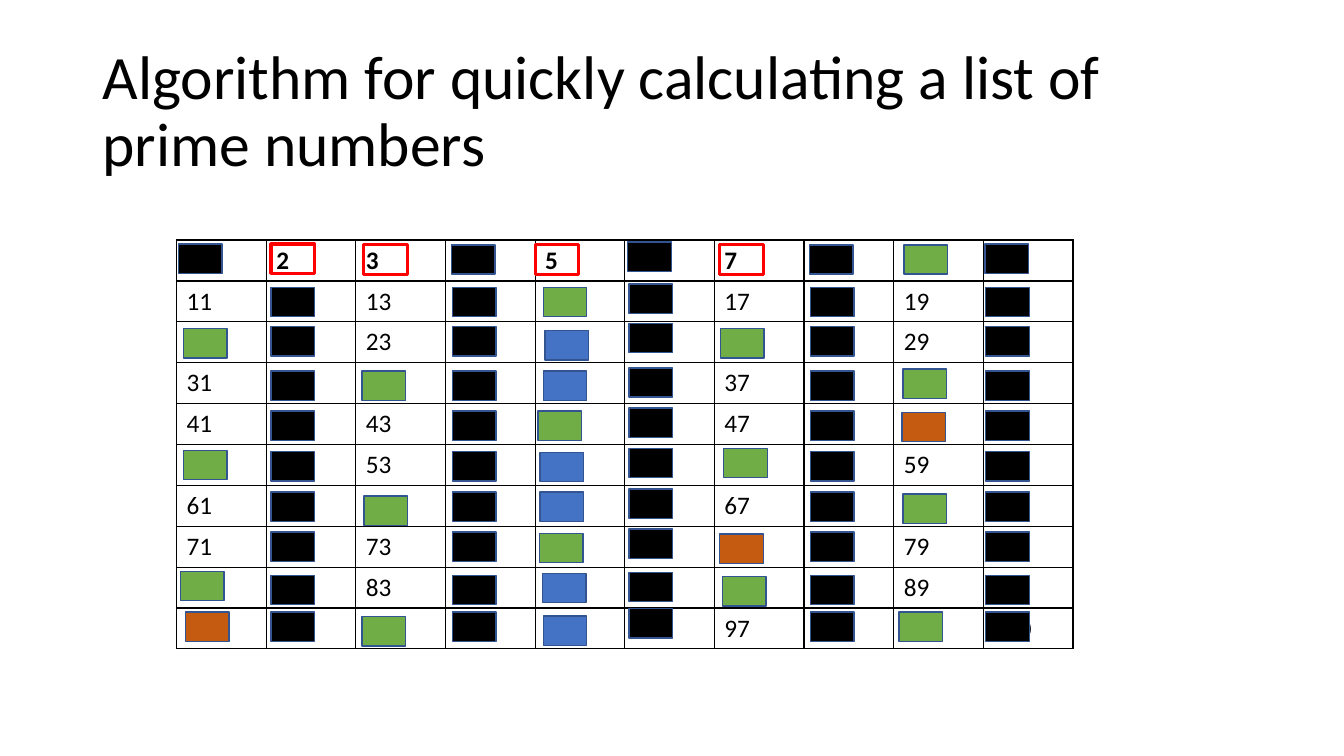
from dataclasses import dataclass
from typing import Any

from lxml import etree
from pptx import Presentation
from pptx import util as u
from pptx.dml.color import RGBColor
from pptx.enum import shapes, text
from pptx.oxml import ns

BLACK = RGBColor(0x00, 0x00, 0x00)
WHITE = RGBColor(0xFF, 0xFF, 0xFF)
RED = RGBColor(0xFF, 0x00, 0x00)
GREEN = RGBColor(0x70, 0xAD, 0x47)
BLUE = RGBColor(0x44, 0x72, 0xC4)
ORANGE = RGBColor(0xC5, 0x5A, 0x11)
OUTLINE = RGBColor(0x32, 0x54, 0x91)

FONT = "Calibri"
TITLE = "Algorithm for quickly calculating a list of prime numbers"
SIDE = 10
FACTOR_COLORS = {2: BLACK, 3: GREEN, 5: BLUE, 7: ORANGE}


@dataclass(frozen=True)
class Mark:
    number: int
    left: float
    top: float


EVEN_LEFTS = {2: 6.83, 4: 11.4, 6: 15.85, 8: 20.42, 10: 24.84}
EVEN_TOPS = [7.24, 8.23, 9.35, 10.36, 11.38, 12.4, 13.41, 14.5, 15.42]
SIXTH_COLUMN_LIFT = 0.08

FIRST_ROW_MARKS = [
    Mark(1, 4.5, 6.15), Mark(2, 6.83, 6.15), Mark(3, 9.17, 6.17),
    Mark(4, 11.38, 6.17), Mark(5, 13.49, 6.17), Mark(6, 15.82, 6.1),
    Mark(7, 18.14, 6.17), Mark(8, 20.4, 6.17), Mark(9, 22.78, 6.17),
    Mark(10, 24.82, 6.15),
]
EVEN_MARKS = [
    Mark(SIDE * row + column, left,
         top - (SIXTH_COLUMN_LIFT if column == 6 else 0))
    for column, left in EVEN_LEFTS.items()
    for row, top in enumerate(EVEN_TOPS, start=1)
]
ODD_MARKS = [
    Mark(15, 13.69, 7.24), Mark(21, 4.62, 8.28), Mark(25, 13.74, 8.33),
    Mark(27, 18.16, 8.28), Mark(33, 9.12, 9.35), Mark(35, 13.69, 9.35),
    Mark(39, 22.76, 9.3), Mark(45, 13.56, 10.36), Mark(49, 22.73, 10.39),
    Mark(51, 4.62, 11.35), Mark(55, 13.61, 11.4), Mark(57, 18.24, 11.3),
    Mark(63, 9.17, 12.5), Mark(65, 13.61, 12.4), Mark(69, 22.76, 12.45),
    Mark(75, 13.59, 13.44), Mark(77, 18.14, 13.46), Mark(81, 4.55, 14.4),
    Mark(85, 13.67, 14.45), Mark(87, 18.21, 14.53), Mark(91, 4.67, 15.42),
    Mark(93, 9.12, 15.54), Mark(95, 13.69, 15.52), Mark(99, 22.66, 15.42),
]


def mark_color(number: int) -> RGBColor:
    return next((color for factor, color in FACTOR_COLORS.items()
                 if number % factor == 0), BLACK)


def add_title(page: Any) -> None:
    title = page.shapes.title
    title.left, title.top = u.Cm(2.33), u.Cm(1.01)
    title.width, title.height = u.Cm(29.21), u.Cm(3.68)
    frame = title.text_frame
    frame.text = TITLE
    frame.word_wrap = True
    frame.auto_size = text.MSO_AUTO_SIZE.NONE
    frame.vertical_anchor = text.MSO_ANCHOR.MIDDLE
    para = frame.paragraphs[0]
    para.alignment = text.PP_ALIGN.LEFT
    para.line_spacing = 0.9
    format_text(para, 44, False)


def format_text(para: Any, size: float, bold: bool) -> None:
    for span in para.runs:
        span.font.name = FONT
        span.font.size = u.Pt(size)
        span.font.bold = bold
        span.font.color.rgb = BLACK


def add_borders(cell: Any) -> None:
    properties = cell._tc.get_or_add_tcPr()
    for index, side in enumerate(("a:lnL", "a:lnR", "a:lnT", "a:lnB")):
        line = etree.Element(ns.qn(side), w=str(u.Pt(1)))
        fill = etree.SubElement(line, ns.qn("a:solidFill"))
        etree.SubElement(fill, ns.qn("a:srgbClr"), val=str(BLACK))
        properties.insert(index, line)


def add_number_table(page: Any) -> None:
    frame = page.shapes.add_table(SIDE, SIDE, u.Cm(4.45), u.Cm(6.05),
                                  u.Cm(22.6), u.Cm(10.3))
    table = frame.table
    table.first_row = False
    table.horz_banding = False
    for column in table.columns:
        column.width = u.Cm(2.26)
    for row in table.rows:
        row.height = u.Cm(1.03)
    for number, cell in enumerate(table.iter_cells(), start=1):
        cell.text = str(number)
        format_text(cell.text_frame.paragraphs[0], 18, number <= SIDE)
        cell.fill.solid()
        cell.fill.fore_color.rgb = WHITE
        add_borders(cell)


def add_mark(page: Any, mark: Mark) -> None:
    box = page.shapes.add_shape(shapes.MSO_SHAPE.RECTANGLE, u.Cm(mark.left),
                                u.Cm(mark.top), u.Cm(1.1), u.Cm(0.74))
    box.shadow.inherit = False
    if mark.number in FACTOR_COLORS:
        box.fill.background()
        box.line.color.rgb = RED
        box.line.width = u.Pt(2.25)
    else:
        box.fill.solid()
        box.fill.fore_color.rgb = mark_color(mark.number)
        box.line.color.rgb = OUTLINE
        box.line.width = u.Pt(1)


def main() -> None:
    deck = Presentation()
    deck.slide_width, deck.slide_height = u.Cm(33.87), u.Cm(19.05)
    page = deck.slides.add_slide(deck.slide_layouts[5])
    add_title(page)
    add_number_table(page)
    for mark in FIRST_ROW_MARKS + EVEN_MARKS + ODD_MARKS:
        add_mark(page, mark)
    deck.save("out.pptx")


if __name__ == "__main__":
    main()
